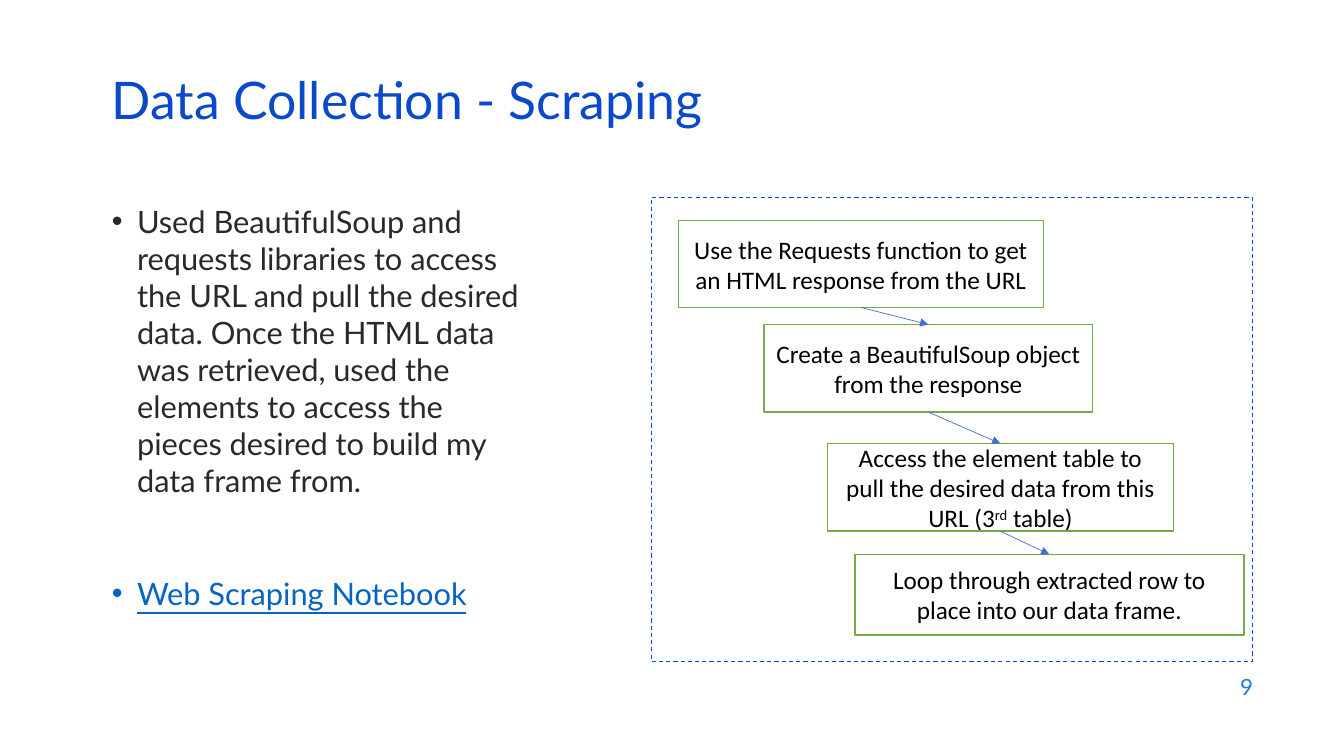
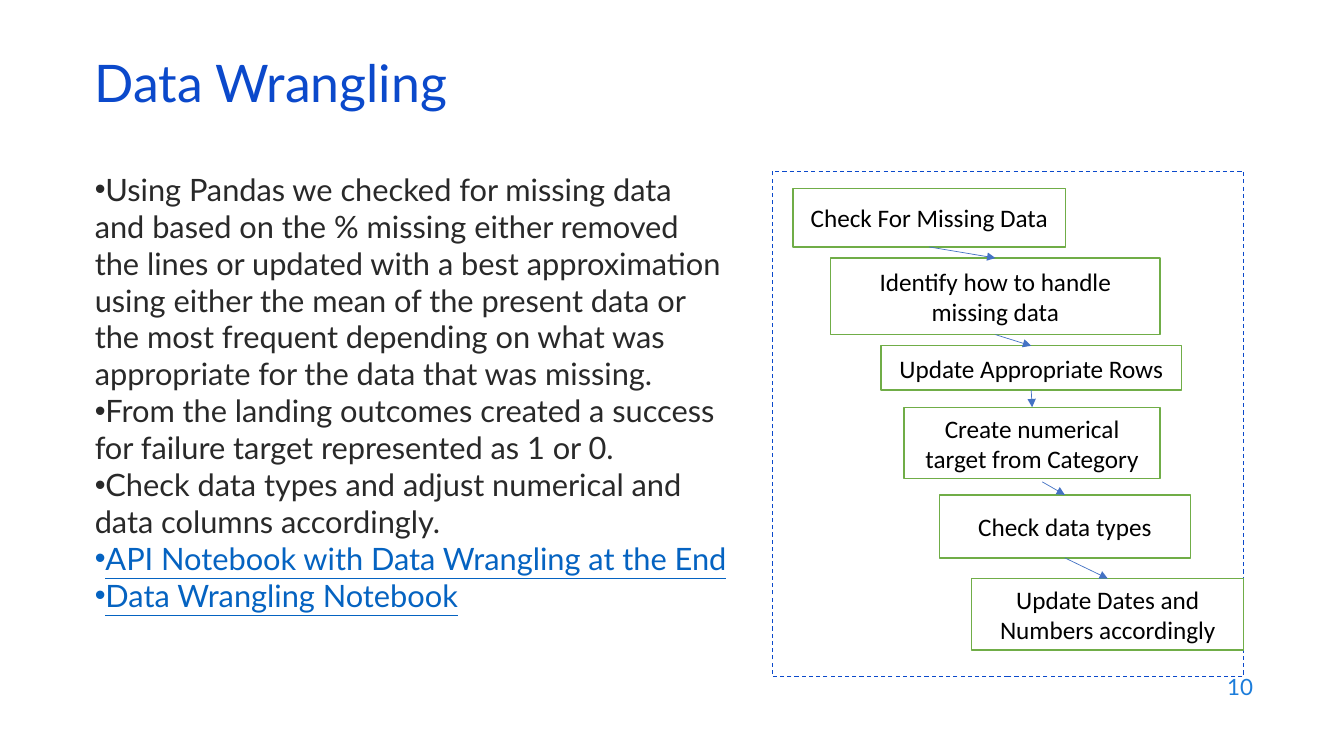
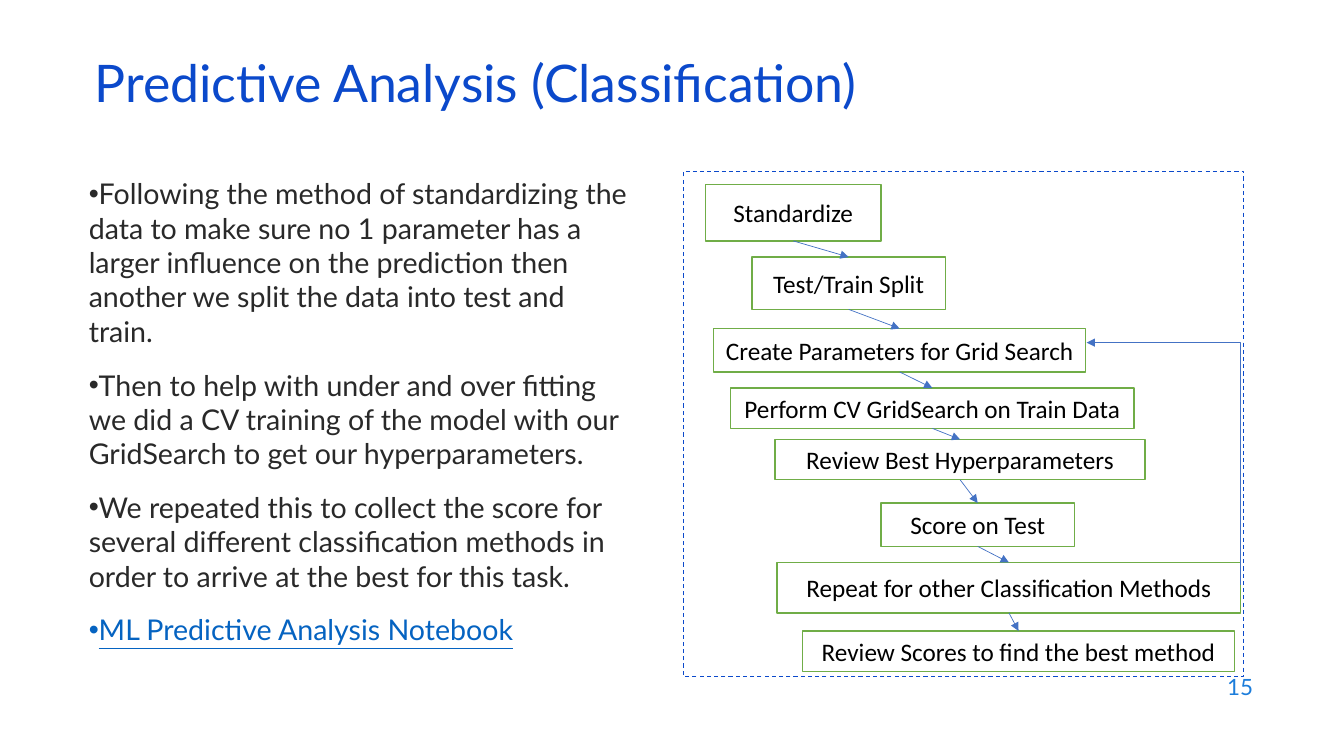
from dataclasses import dataclass
from itertools import pairwise

from lxml import etree
from pptx import Presentation
from pptx import util as u
from pptx.dml.color import RGBColor
from pptx.enum import dml, shapes, text
from pptx.oxml import ns


@dataclass(frozen=True)
class Theme:
    title: str = "0B49CB"
    body: str = "292929"
    link: str = "0563C1"
    number: str = "1C7DDB"
    step_fill: str = "FFFFFF"
    step_line: str = "70AD47"
    step_text: str = "000000"
    arrow: str = "4472C4"
    text_font: str = "Lato"
    step_font: str = "Calibri"
    title_size: float = 37
    step_size: float = 18
    number_size: float = 16


def points(values):
    return [u.Pt(value) for value in values]


def color(code):
    return RGBColor.from_string(code)


class Deck:
    def __init__(self, theme):
        self.theme = theme
        self.presentation = Presentation()
        self.presentation.slide_width = u.Pt(960)
        self.presentation.slide_height = u.Pt(540)
        self.slide = None

    def add_slide(self, title, number, left, top):
        layout = self.presentation.slide_layouts[1]
        self.slide = self.presentation.slides.add_slide(layout)
        self.title(title, left, top)
        self.number(number)

    def place(self, shape, area):
        shape.left, shape.top, shape.width, shape.height = points(area)

    def style(self, run, font, size, code, underline=False):
        run.font.name = font
        run.font.size = u.Pt(size)
        run.font.color.rgb = color(code)
        run.font.underline = underline

    def title(self, words, left, top):
        shape = self.slide.shapes.title
        self.place(shape, (left, top, 828, 43.2))
        frame = shape.text_frame
        frame.text = words
        frame.auto_size = text.MSO_AUTO_SIZE.NONE
        frame.vertical_anchor = text.MSO_ANCHOR.MIDDLE
        paragraph = frame.paragraphs[0]
        paragraph.alignment = text.PP_ALIGN.LEFT
        paragraph.line_spacing = 0.7
        self.style(paragraph.runs[0], self.theme.text_font, self.theme.title_size, self.theme.title)

    def number(self, value):
        shape = self.slide.shapes.add_textbox(*points((686.2, 474.5, 216, 31.7)))
        frame = shape.text_frame
        frame.word_wrap = True
        frame.vertical_anchor = text.MSO_ANCHOR.MIDDLE
        frame.text = str(value)
        paragraph = frame.paragraphs[0]
        paragraph.alignment = text.PP_ALIGN.RIGHT
        self.style(paragraph.runs[0], self.theme.text_font, self.theme.number_size, self.theme.number)

    def bullets(self, area, items, links, size, gap=0, hang=0):
        shape = self.slide.placeholders[1]
        self.place(shape, area)
        frame = shape.text_frame
        frame.text = "\n".join(items + links)
        frame.auto_size = text.MSO_AUTO_SIZE.NONE
        for index, paragraph in enumerate(frame.paragraphs):
            properties = paragraph._p.get_or_add_pPr()
            properties.set("marL", str(u.Pt(hang)))
            properties.set("indent", str(u.Pt(-hang)))
            etree.SubElement(properties, ns.qn("a:buChar")).set("char", "•")
            paragraph.line_spacing = 1.0
            paragraph.space_before = u.Pt(gap if index else 0)
            is_link = index >= len(items)
            code = self.theme.link if is_link else self.theme.body
            self.style(paragraph.runs[0], self.theme.text_font, size, code, is_link)

    def rectangle(self, area, line, width):
        shape = self.slide.shapes.add_shape(shapes.MSO_SHAPE.RECTANGLE, *points(area))
        shape.shadow.inherit = False
        shape.line.color.rgb = color(line)
        shape.line.width = u.Pt(width)
        return shape

    def frame(self, area):
        shape = self.rectangle(area, self.theme.title, 0.75)
        shape.fill.background()
        shape.line.dash_style = dml.MSO_LINE.DASH

    def step(self, words, *area):
        shape = self.rectangle(area, self.theme.step_line, 1)
        shape.fill.solid()
        shape.fill.fore_color.rgb = color(self.theme.step_fill)
        frame = shape.text_frame
        frame.word_wrap = True
        frame.vertical_anchor = text.MSO_ANCHOR.MIDDLE
        paragraph = frame.paragraphs[0]
        paragraph.alignment = text.PP_ALIGN.CENTER
        for index, part in enumerate(words.split("|")):
            run = paragraph.add_run()
            run.text = part
            self.style(run, self.theme.step_font, self.theme.step_size, self.theme.step_text)
            if index % 2:
                run._r.get_or_add_rPr().set("baseline", "30000")
        return shape

    def arrow(self, start, end, kind=shapes.MSO_CONNECTOR.STRAIGHT):
        connector = self.slide.shapes.add_connector(kind, *points(start + end))
        connector.line.color.rgb = color(self.theme.arrow)
        connector.line.width = u.Pt(0.5)
        line = connector.line._get_or_add_ln()
        etree.SubElement(line, ns.qn("a:tailEnd")).set("type", "triangle")
        etree.SubElement(connector._element.spPr, ns.qn("a:effectLst"))
        return connector

    def loop_arrow(self, start, end):
        connector = self.arrow(start, end, shapes.MSO_CONNECTOR.ELBOW)
        adjustments = connector._element.spPr.find(f"{ns.qn('a:prstGeom')}/{ns.qn('a:avLst')}")
        guide = etree.SubElement(adjustments, ns.qn("a:gd"))
        guide.set("name", "adj1")
        guide.set("fmla", "val 0")

    def flow(self, area, steps, loose_starts=None):
        loose_starts = loose_starts or {}
        self.frame(area)
        boxes = [self.step(*step) for step in steps]
        for index, (upper, lower) in enumerate(pairwise(boxes)):
            start = loose_starts.get(index, (0, 0))
            connector = self.arrow(start, (0, 0))
            if index not in loose_starts:
                connector.begin_connect(upper, 2)
            connector.end_connect(lower, 0)


def scraping(deck):
    deck.add_slide("Data Collection - Scraping", 9, 72.7, 54.7)
    deck.bullets(
        (72.7, 141.1, 309.6, 300.2),
        ["Used BeautifulSoup and requests libraries to access the URL and pull the desired data. "
         "Once the HTML data was retrieved, used the elements to access the pieces desired to "
         "build my data frame from."],
        ["Web Scraping Notebook"], 22, gap=54.4, hang=18)
    deck.flow((465.1, 141.1, 429.8, 331.2), [
        ("Use the Requests function to get an HTML response from the URL", 484.6, 157.7, 260.6, 61.9),
        ("Create a BeautifulSoup object from the response", 545.8, 231.8, 234.7, 62.6),
        ("Access the element table to pull the desired data from this URL (3|rd| table)",
         591.1, 316.8, 247, 62.6),
        ("Loop through extracted row to place into our data frame.", 610.6, 396, 277.9, 57.6),
    ])


def wrangling(deck):
    deck.add_slide("Data Wrangling", 10, 60.5, 42.5)
    deck.bullets(
        (60.5, 118.1, 466, 353.5),
        ["Using Pandas we checked for missing data and based on the % missing either removed the "
         "lines or updated with a best approximation using either the mean of the present data or "
         "the most frequent depending on what was appropriate for the data that was missing.",
         "From the landing outcomes created a success for failure target represented as 1 or 0.",
         "Check data types and adjust numerical and data columns accordingly."],
        ["API Notebook with Data Wrangling at the End", "Data Wrangling Notebook"], 22)
    deck.flow((551.5, 122.4, 337, 360.7), [
        ("Check For Missing Data", 566.6, 134.6, 194.4, 41.8),
        ("Identify how to handle missing data", 593.3, 184.3, 235.4, 54.7),
        ("Update Appropriate Rows", 629.3, 247, 214.6, 31.7),
        ("Create numerical target from Category", 645.8, 290.9, 182.9, 51.1),
        ("Check data types", 671, 353.5, 179.3, 45),
        ("Update Dates and Numbers accordingly", 694.1, 413.3, 194.4, 51.1),
    ], loose_starts={3: (744.5, 344.2)})


def prediction(deck):
    deck.add_slide("Predictive Analysis (Classification)", 15, 60.5, 42.5)
    deck.bullets(
        (56.2, 122.4, 404.6, 360.7),
        ["Following the method of standardizing the data to make sure no 1 parameter has a larger "
         "influence on the prediction then another we split the data into test and train.",
         "Then to help with under and over fitting we did a CV training of the model with our "
         "GridSearch to get our hyperparameters.",
         "We repeated this to collect the score for several different classification methods in "
         "order to arrive at the best for this task."],
        ["ML Predictive Analysis Notebook"], 20.4, gap=14)
    deck.flow((488.2, 122.4, 400.3, 360.7), [
        ("Standardize", 504, 131.8, 125.3, 40.3),
        ("Test/Train Split", 537.1, 183.6, 138.2, 37.4),
        ("Create Parameters for Grid Search", 509.8, 234.7, 265.7, 31),
        ("Perform CV GridSearch on Train Data", 522, 277.2, 288, 28.8),
        ("Review Best Hyperparameters", 553.7, 313.9, 264.2, 28.8),
        ("Score on Test", 629.3, 359.3, 138.2, 31),
        ("Repeat for other Classification Methods", 555.1, 401.8, 331.2, 36),
        ("Review Scores to find the best method", 573.1, 450.7, 308.9, 28.8),
    ])
    deck.loop_arrow((886.3, 417.6), (776.2, 244.8))


def main():
    deck = Deck(Theme())
    for build in (scraping, wrangling, prediction):
        build(deck)
    deck.presentation.save("out.pptx")


if __name__ == "__main__":
    main()
